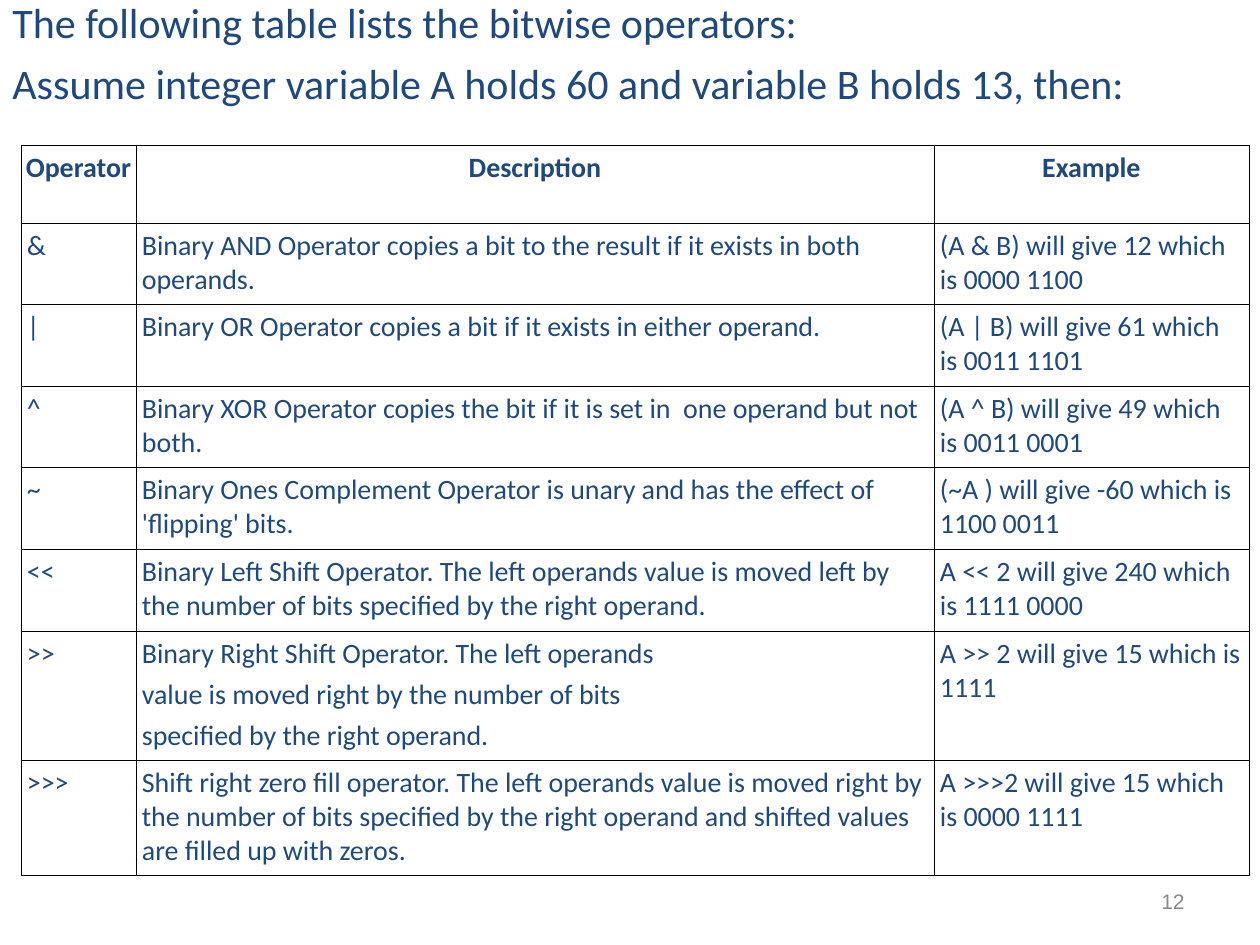
from lxml.etree import SubElement
from pptx import Presentation
from pptx.dml.color import RGBColor
from pptx.enum.text import MSO_ANCHOR, PP_ALIGN
from pptx.oxml.ns import qn
from pptx.util import Pt

NAVY = RGBColor(0x1F, 0x49, 0x7D)
GRAY = RGBColor(0x89, 0x89, 0x89)
BLACK = RGBColor(0x00, 0x00, 0x00)

INTRODUCTION = [
    "The following table lists the bitwise operators:",
    "Assume integer variable A holds 60 and variable B holds 13, then:",
]
PAGE_NUMBER = "12"
HEADER = ("Operator", "Description", "Example")
OPERATORS = [
    ("&", "Binary AND Operator copies a bit to the result if it exists in both operands.",
     "(A & B) will give 12 which is 0000 1100"),
    ("|", "Binary OR Operator copies a bit if it exists in either operand.",
     "(A | B) will give 61 which is 0011 1101"),
    ("^", "Binary XOR Operator copies the bit if it is set in  one operand but not both.",
     "(A ^ B) will give 49 which is 0011 0001"),
    ("~", "Binary Ones Complement Operator is unary and has the effect of 'flipping' bits.",
     "(~A ) will give -60 which is 1100 0011"),
    ("<<", "Binary Left Shift Operator. The left operands value is moved left by the number "
     "of bits specified by the right operand.",
     "A << 2 will give 240 which is 1111 0000"),
    (">>", "Binary Right Shift Operator. The left operands\n"
     "value is moved right by the number of bits\nspecified by the right operand.",
     "A >> 2 will give 15 which is 1111"),
    (">>>", "Shift right zero fill operator. The left operands value is moved right by the "
     "number of bits specified by the right operand and shifted values are filled up with zeros.",
     "A >>>2 will give 15 which is 0000 1111"),
]
COLUMN_WIDTHS = (115, 798, 315)
ROW_HEIGHTS = (78, 81, 82, 81, 82, 82, 129, 116)


def px(length):
    """Turn pixels at 126 to the inch into EMU."""
    return round(length * 914400 / 126)


def format_text(text_frame, size, color, font="Calibri", bold=False,
                alignment=PP_ALIGN.LEFT, space_before=0):
    """Give every paragraph and run of a text frame the same look."""
    for paragraph in text_frame.paragraphs:
        paragraph.alignment = alignment
        paragraph.space_before = Pt(space_before)
        for run in paragraph.runs:
            run.font.size = Pt(size)
            run.font.name = font
            run.font.bold = bold
            run.font.color.rgb = color


def add_text(slide, text, left, top, width, height, **style):
    """Add a wrapping text box and return its text frame."""
    text_frame = slide.shapes.add_textbox(px(left), px(top), px(width), px(height)).text_frame
    text_frame.word_wrap = True
    text_frame.text = text
    format_text(text_frame, **style)
    return text_frame


def add_borders(cell):
    """Draw a thin black line on all four sides of a cell."""
    properties = cell._tc.get_or_add_tcPr()
    for position, side in enumerate(("a:lnL", "a:lnR", "a:lnT", "a:lnB")):
        line = SubElement(properties, qn(side), w=str(Pt(0.45)))
        fill = SubElement(line, qn("a:solidFill"))
        SubElement(fill, qn("a:srgbClr"), val=str(BLACK))
        properties.insert(position, line)


def add_operator_table(slide):
    """Add the table of operators with its header row."""
    rows = [HEADER] + OPERATORS
    table = slide.shapes.add_table(
        len(rows), len(HEADER), px(21), px(145),
        px(sum(COLUMN_WIDTHS)), px(sum(ROW_HEIGHTS))).table
    table.first_row = False
    table.horz_banding = False
    for column, width in zip(table.columns, COLUMN_WIDTHS):
        column.width = px(width)
    for row_index, (row, height, texts) in enumerate(zip(table.rows, ROW_HEIGHTS, rows)):
        is_header = row_index == 0
        row.height = px(height)
        for cell, text in zip(row.cells, texts):
            cell.margin_left = cell.margin_right = px(4 if is_header else 6)
            cell.margin_top = cell.margin_bottom = px(6)
            cell.fill.background()
            add_borders(cell)
            cell.text_frame.text = text
            format_text(cell.text_frame, 16, NAVY, bold=is_header,
                        alignment=PP_ALIGN.CENTER if is_header else PP_ALIGN.LEFT,
                        space_before=0 if is_header else 4)


def main():
    """Build and save the slide."""
    presentation = Presentation()
    presentation.slide_width = px(1260)
    presentation.slide_height = px(945)
    slide = presentation.slides.add_slide(presentation.slide_layouts[6])
    add_text(slide, "\n".join(INTRODUCTION), 0, -10, 1176, 687,
             size=24, color=NAVY, space_before=6)
    number_frame = add_text(slide, PAGE_NUMBER, 903, 876, 294, 50, size=12, color=GRAY,
                            font="Arial", alignment=PP_ALIGN.RIGHT)
    number_frame.vertical_anchor = MSO_ANCHOR.MIDDLE
    add_operator_table(slide)
    presentation.save("out.pptx")


if __name__ == "__main__":
    main()
